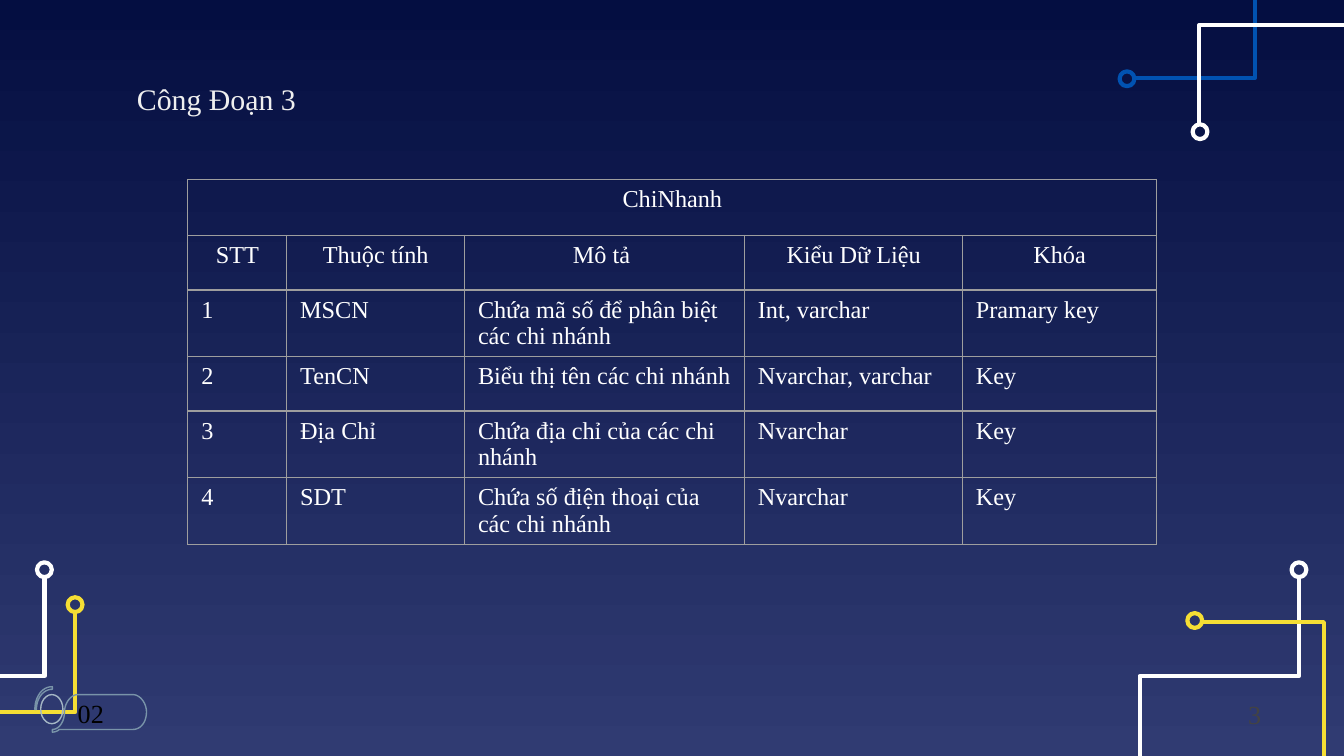
from lxml.etree import SubElement
from pptx import Presentation
from pptx.dml.color import RGBColor
from pptx.enum.shapes import MSO_SHAPE
from pptx.enum.text import MSO_ANCHOR, PP_ALIGN
from pptx.oxml.ns import qn
from pptx.util import Cm, Pt

FONT = "Times New Roman"
WHITE, BLUE, GOLD = "FFFFFF", "0152B1", "F5DE34"
STEEL, MIST, GRID = "7994A9", "A5B7C5", "9E9E9E"
FADE = ["040E41", "303B72"]

TITLE = "Công Đoạn 3"
HEAD = "ChiNhanh"
ROWS = [
    ("STT", "Thuộc tính", "Mô tả ", "Kiểu Dữ Liệu", "Khóa"),
    ("1", "MSCN", "Chứa mã số để phân biệt các chi nhánh", "Int, varchar", "Pramary key"),
    ("2", "TenCN", "Biểu thị tên các chi nhánh", "Nvarchar, varchar", "Key"),
    ("3", "Địa Chỉ", "Chứa địa chỉ của các chi nhánh", "Nvarchar", "Key"),
    ("4", "SDT", "Chứa số điện thoại của các chi nhánh", "Nvarchar", "Key"),
]
COLS = [1.87, 3.36, 5.29, 4.12, 3.67]
TOP, ROW = 1.06, 1.03

RING = 0.28
TRACES = [
    (WHITE, (24.55, 10.77),
     [(24.55, 10.87), (24.55, 12.78), (21.54, 12.78), (21.54, 14.53)]),
    (BLUE, (21.3, 1.49), [(21.46, 1.47), (23.72, 1.47), (23.72, -1.32)]),
    (WHITE, (22.68, 2.49),
     [(22.66, 2.36), (22.66, 0.48), (25.68, 0.48), (25.68, -1.32)]),
    (GOLD, (22.58, 11.73), [(22.71, 11.76), (25.02, 11.76), (25.02, 14.5)]),
    (WHITE, (0.84, 10.77),
     [(0.84, 10.87), (0.84, 12.78), (-2.18, 12.78), (-2.18, 14.53)]),
    (GOLD, (1.42, 11.43),
     [(1.42, 11.56), (1.42, 13.46), (-1.6, 13.46), (-1.6, 15.19)]),
]

ARC = [
    [(0.99, 12.98)],
    [(0.79, 12.98), (0.66, 13.18), (0.66, 13.41)],
    [(0.69, 13.41)],
    [(0.69, 13.21), (0.81, 13.03), (0.99, 13.03)],
]
BADGE = [
    [(1.47, 13.13)],
    [(1.35, 13.13), (1.22, 13.28), (1.22, 13.46)],
    [(1.22, 13.64), (1.12, 13.79), (0.99, 13.79)],
    [(0.99, 13.84)],
    [(1.04, 13.84), (1.09, 13.82), (1.12, 13.79)],
    [(2.51, 13.79)],
    [(2.67, 13.79), (2.77, 13.64), (2.77, 13.46)],
    [(2.77, 13.28), (2.64, 13.13), (2.51, 13.13)],
]


def rgb(code):
    return RGBColor.from_string(code)


def flat(path, steps=12):
    pts = []
    for part in path:
        if len(part) == 1:
            pts.append(part[0])
            continue
        ends = [pts[-1], *part]
        for i in range(1, steps + 1):
            t = i / steps
            mix = [(1 - t) ** 3, 3 * t * (1 - t) ** 2, 3 * t * t * (1 - t), t ** 3]
            pts.append(tuple(sum(m * p[k] for m, p in zip(mix, ends)) for k in (0, 1)))
    return pts


def style(shape, color, width):
    shape.shadow.inherit = False
    shape.fill.background()
    shape.line.color.rgb = rgb(color)
    shape.line.width = Pt(width)
    return shape


def draw(slide, pts, color, width, close=False):
    start, *rest = [(Cm(x), Cm(y)) for x, y in pts]
    pen = slide.shapes.build_freeform(*start)
    pen.add_line_segments(rest, close=close)
    return style(pen.convert_to_shape(), color, width)


def oval(slide, box, color, width):
    style(slide.shapes.add_shape(MSO_SHAPE.OVAL, *map(Cm, box)), color, width)


def write(frame, text, size, color, align=PP_ALIGN.LEFT):
    para = frame.paragraphs[0]
    para.text = text
    para.alignment = align
    para.font.name = FONT
    para.font.size = Pt(size)
    para.font.color.rgb = rgb(color)


def label(slide, box, text, size, color):
    frame = slide.shapes.add_textbox(*map(Cm, box)).text_frame
    frame.word_wrap = True
    frame.margin_left = Cm(0.64)
    frame.margin_top = Cm(0.1)
    write(frame, text, size, color)


def edge(cell):
    props = cell._tc.get_or_add_tcPr()
    for side in ("lnL", "lnR", "lnT", "lnB"):
        line = SubElement(props, qn("a:" + side), w=str(Pt(0.75)))
        fill = SubElement(line, qn("a:solidFill"))
        SubElement(fill, qn("a:srgbClr"), val=GRID)
    cell.fill.background()
    cell.margin_bottom = Cm(0.03)


def table(slide):
    rows = [(HEAD, "", "", "", "")] + ROWS
    grid = slide.shapes.add_table(
        len(rows), len(COLS), Cm(3.55), Cm(3.39),
        Cm(sum(COLS)), Cm(ROW * len(rows))).table
    grid.first_row = grid.horz_banding = False
    for col, width in zip(grid.columns, COLS):
        col.width = Cm(width)
    grid.rows[0].height = Cm(TOP)
    for r, row in enumerate(rows):
        for c, text in enumerate(row):
            cell = grid.cell(r, c)
            edge(cell)
            if text:
                align = PP_ALIGN.CENTER if r < 2 else PP_ALIGN.LEFT
                write(cell.text_frame, text, 13, WHITE, align)
    grid.cell(0, 0).merge(grid.cell(0, len(COLS) - 1))


def main():
    deck = Presentation()
    deck.slide_width, deck.slide_height = Cm(25.4), Cm(14.29)
    slide = deck.slides.add_slide(deck.slide_layouts[6])
    back = slide.background.fill
    back.gradient()
    back.gradient_angle = 270
    for stop, color, place in zip(back.gradient_stops, FADE, (0, 1)):
        stop.color.rgb = rgb(color)
        stop.position = place

    for color, (x, y), pts in TRACES:
        draw(slide, pts, color, 2.25)
        oval(slide, (x - RING / 2, y - RING / 2, RING, RING), color, 2.25)

    label(slide, (1.95, 1.43, 21.41, 1.32), TITLE, 16, "EFEFEF")
    table(slide)

    draw(slide, flat(ARC), STEEL, 0.75, True)
    oval(slide, (0.77, 13.13, 0.42, 0.55), MIST, 0.75)
    frame = draw(slide, flat(BADGE), STEEL, 0.75, True).text_frame
    frame.vertical_anchor = MSO_ANCHOR.MIDDLE
    frame.margin_left = Cm(0.48)
    write(frame, "02", 14, "000000")
    label(slide, (22.95, 13.11, 1.5, 0.8), "3", 14, "434343")
    deck.save("out.pptx")


if __name__ == "__main__":
    main()
